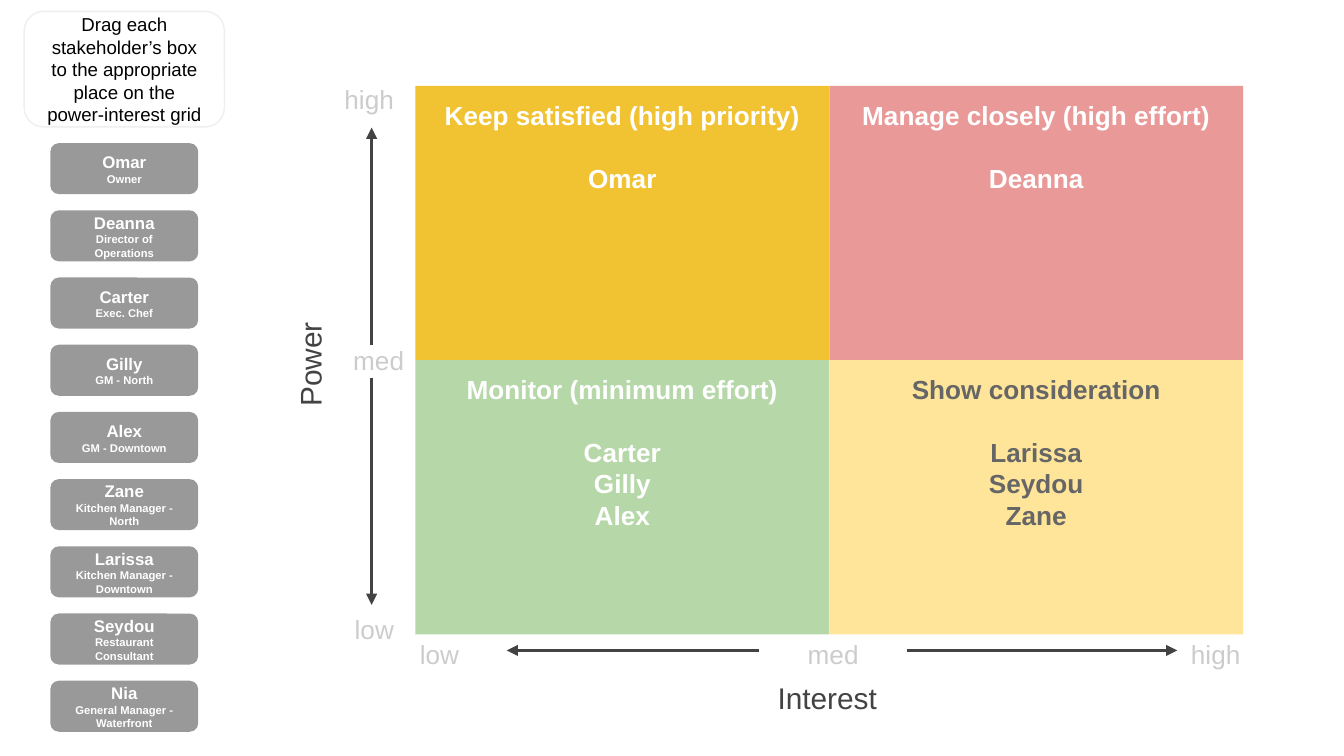
"""Build a power-interest stakeholder grid slide."""
from lxml.etree import SubElement
from pptx import Presentation
from pptx.dml.color import RGBColor
from pptx.enum.shapes import MSO_CONNECTOR, MSO_SHAPE
from pptx.enum.text import MSO_ANCHOR, PP_ALIGN
from pptx.oxml.ns import qn
from pptx.util import Pt

PX = 4572
C = {"white": "FFFFFF", "black": "000000", "gold": "F1C232", "pink": "EA9999",
     "green": "B6D7A8", "cream": "FFE599", "gray": "999999", "text": "666666",
     "dark": "434343", "light": "CCCCCC", "border": "EFEFEF"}


def put_text(sp, lines, sizes, color, bold=False, align=PP_ALIGN.CENTER, anchor=MSO_ANCHOR.TOP):
    tf = sp.text_frame
    tf.word_wrap = True
    tf.vertical_anchor = anchor
    tf.margin_left = tf.margin_right = tf.margin_top = tf.margin_bottom = 20 * PX
    tf.text = "\n".join(lines)
    for p, size in zip(tf.paragraphs, sizes):
        p.alignment = align
        f = p.runs[0].font
        f.name, f.size, f.bold = "Arial", Pt(size), bold
        f.color.rgb = RGBColor.from_string(C[color])


def add_box(kind, x, y, w, h, fill=None, line=None):
    sp = s.shapes.add_shape(kind, x * PX, y * PX, w * PX, h * PX)
    sp.shadow.inherit = False
    if fill:
        sp.fill.solid()
        sp.fill.fore_color.rgb = RGBColor.from_string(C[fill])
    else:
        sp.fill.background()
    if line:
        sp.line.color.rgb = RGBColor.from_string(C[line])
        sp.line.width = Pt(0.75)
    else:
        sp.line.fill.background()
    return sp


prs = Presentation()
prs.slide_width, prs.slide_height = 2000 * PX, 1125 * PX
s = prs.slides.add_slide(prs.slide_layouts[6])

quadrants = [
    ("gold", "white", ["Keep satisfied (high priority)", "Omar"]),
    ("pink", "white", ["Manage closely (high effort)", "Deanna"]),
    ("green", "white", ["Monitor (minimum effort)", "Carter", "Gilly", "Alex"]),
    ("cream", "text", ["Show consideration", "Larissa", "Seydou", "Zane"]),
]
for i, (fill, color, lines) in enumerate(quadrants):
    row, col = divmod(i, 2)
    sp = add_box(MSO_SHAPE.RECTANGLE, 618 + 616 * col, 128 + 408 * row, 616, 408, fill)
    put_text(sp, lines, [14] * len(lines), color, True)
    sp.text_frame.paragraphs[0].space_after = Pt(16.8)

labels = [
    ("high", 340, 104, 266, 52, 14, "light", PP_ALIGN.RIGHT),
    ("low", 340, 893, 266, 52, 14, "light", PP_ALIGN.RIGHT),
    ("med", 1130, 930, 220, 76, 14, "light", PP_ALIGN.CENTER),
    ("high", 1708, 930, 202, 76, 14, "light", PP_ALIGN.CENTER),
    ("low", 553, 930, 202, 76, 14, "light", PP_ALIGN.CENTER),
    ("Interest", 1082, 991, 298, 94, 16, "dark", PP_ALIGN.CENTER),
    ("med", 485, 492, 136, 88, 14, "light", PP_ALIGN.RIGHT),
]
for text, x, y, w, h, size, color, align in labels:
    sp = s.shapes.add_textbox(x * PX, y * PX, w * PX, h * PX)
    put_text(sp, [text], [size], color, align=align)

sp = s.shapes.add_textbox(278 * PX, 507 * PX, 366 * PX, 70 * PX)
sp.rotation = 270
put_text(sp, ["Power"], [16], "dark", anchor=MSO_ANCHOR.MIDDLE)

arrows = [(553, 514, 553, 190), (553, 562, 553, 900),
          (1350, 968, 1752, 968), (1130, 968, 754, 968)]
for x1, y1, x2, y2 in arrows:
    ln = s.shapes.add_connector(MSO_CONNECTOR.STRAIGHT, x1 * PX, y1 * PX, x2 * PX, y2 * PX)
    ln.line.color.rgb = RGBColor.from_string(C["dark"])
    ln.line.width = Pt(1.5)
    SubElement(ln.line._get_or_add_ln(), qn("a:tailEnd"), type="triangle")
    SubElement(ln._element.spPr, qn("a:effectLst"))

sp = add_box(MSO_SHAPE.ROUNDED_RECTANGLE, 36, 17, 298, 172, line="border")
put_text(sp, ["Drag each stakeholder’s box to the appropriate place on the power-interest grid"],
         [10], "black", anchor=MSO_ANCHOR.MIDDLE)

stakeholders = [
    ("Omar", "Owner"),
    ("Deanna", "Director of Operations"),
    ("Carter", "Exec. Chef"),
    ("Gilly", "GM - North"),
    ("Alex", "GM - Downtown"),
    ("Zane", "Kitchen Manager - North"),
    ("Larissa", "Kitchen Manager - Downtown"),
    ("Seydou", "Restaurant Consultant"),
    ("Nia", "General Manager - Waterfront"),
]
for i, person in enumerate(stakeholders):
    sp = add_box(MSO_SHAPE.ROUNDED_RECTANGLE, 75, 213 + 100 * i, 220, 76, "gray")
    put_text(sp, person, [9, 6], "white", True, anchor=MSO_ANCHOR.MIDDLE)

prs.save("out.pptx")
